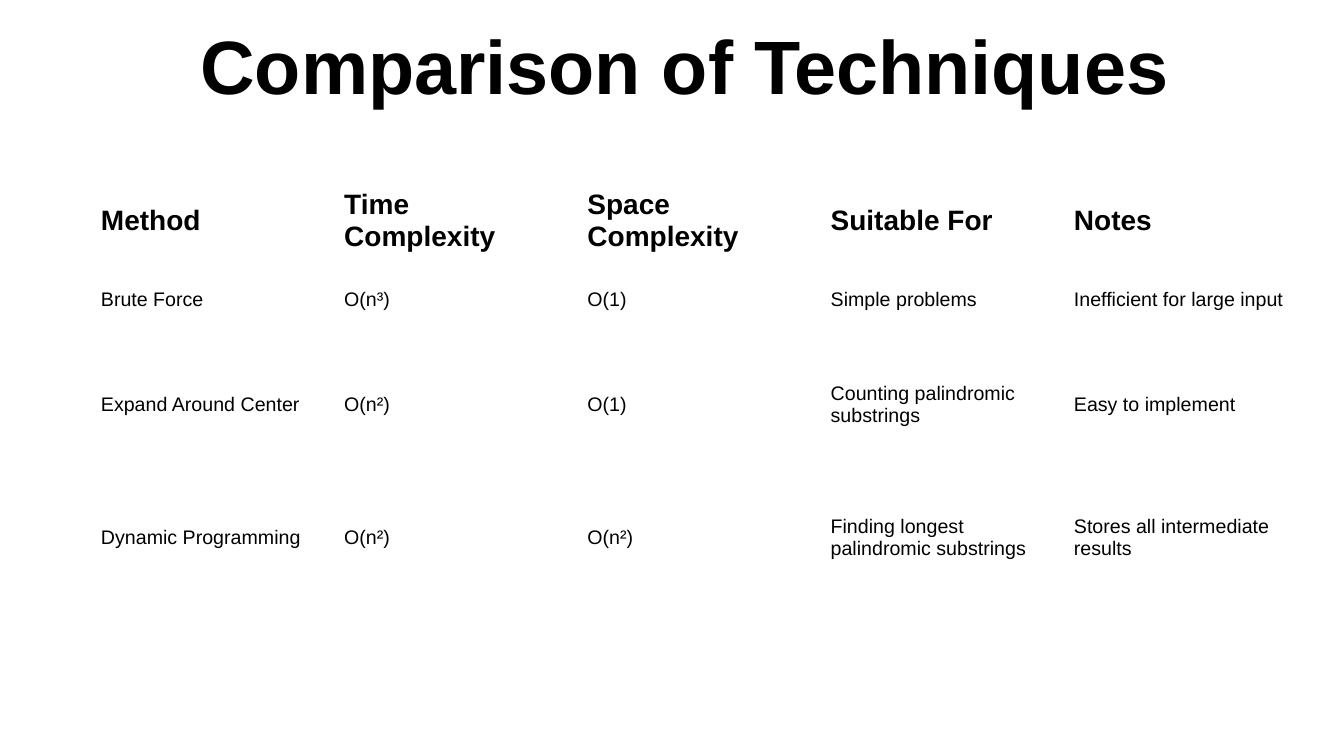
from pptx import Presentation
from pptx.dml.color import RGBColor
from pptx.enum.text import MSO_ANCHOR
from pptx.util import Cm, Pt

deck = Presentation()
deck.slide_width = Cm(33.87)
deck.slide_height = Cm(19.05)
page = deck.slides.add_slide(deck.slide_layouts[6])


def style_text(frame, size, bold, color="000000"):
    for para in frame.paragraphs:
        for span in para.runs:
            span.font.name = "Arial"
            span.font.size = Pt(size)
            span.font.bold = bold
            span.font.color.rgb = RGBColor.from_string(color)


title = page.shapes.add_textbox(Cm(4.8), Cm(0.36), Cm(28.35), Cm(2.57))
title.text_frame.word_wrap = True
title.text_frame.text = "Comparison of Techniques"
style_text(title.text_frame, 54, True)

techniques = [
    ["Method", "Time Complexity", "Space Complexity", "Suitable For", "Notes"],
    ["Brute Force", "O(n³)", "O(1)", "Simple problems", "Inefficient for large input"],
    ["Expand Around Center", "O(n²)", "O(1)", "Counting palindromic substrings", "Easy to implement"],
    ["Dynamic Programming", "O(n²)", "O(n²)", "Finding longest palindromic substrings",
     "Stores all intermediate results"],
]
row_heights = [1.98, 1.98, 3.35, 3.35]
column_width = 6.13

table = page.shapes.add_table(
    len(techniques), len(techniques[0]), Cm(2.29), Cm(4.57),
    Cm(column_width * len(techniques[0])), Cm(sum(row_heights)),
).table
table.first_row = False
table.horz_banding = False

for column in table.columns:
    column.width = Cm(column_width)

for row_index, (row, height, texts) in enumerate(zip(table.rows, row_heights, techniques)):
    row.height = Cm(height)
    is_header = row_index == 0
    for cell, text in zip(row.cells, texts):
        cell.fill.background()
        cell.vertical_anchor = MSO_ANCHOR.MIDDLE
        cell.text_frame.text = text
        style_text(cell.text_frame, 20 if is_header else 14, is_header)

deck.save("out.pptx")
